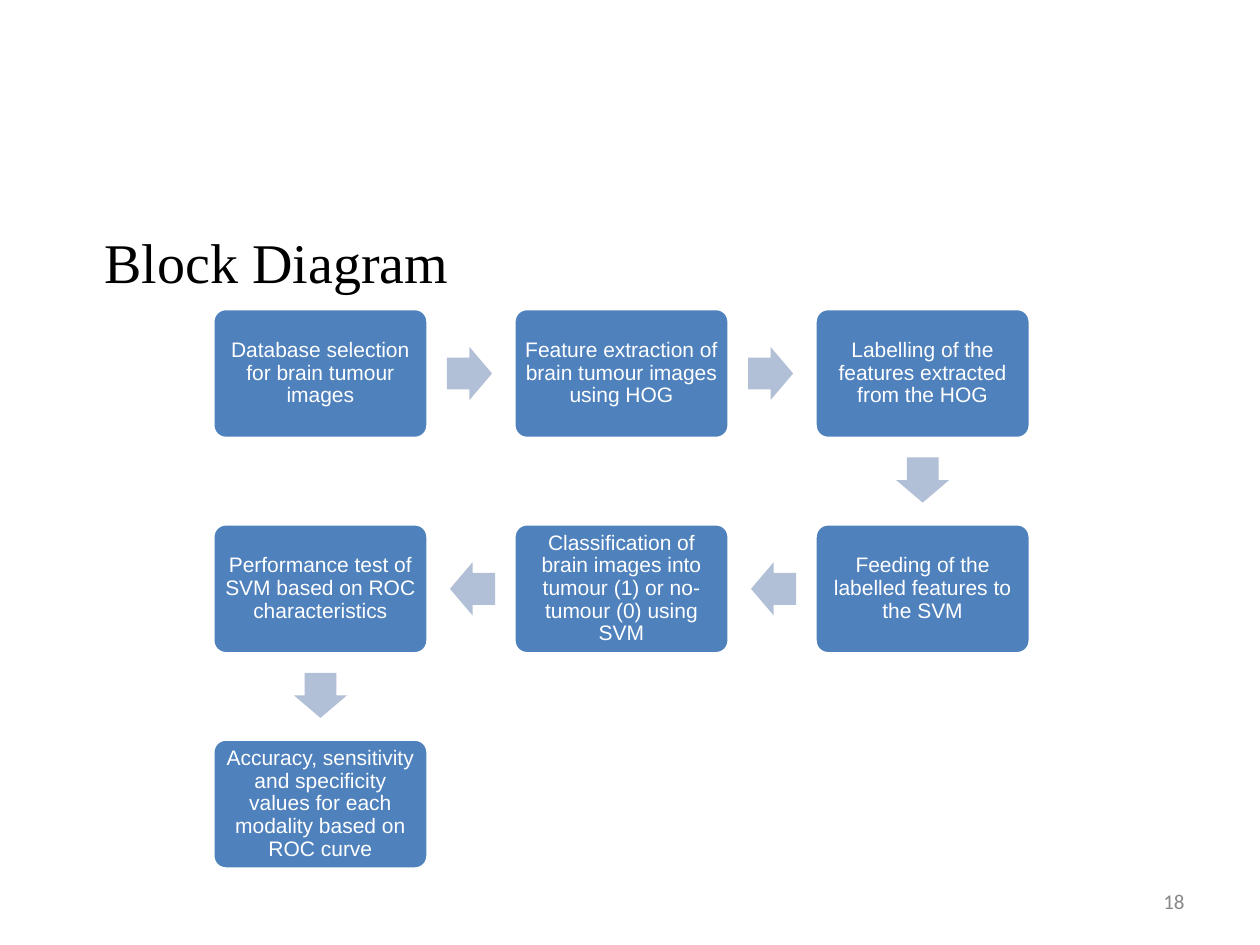
from itertools import pairwise

from pptx import Presentation
from pptx import util as u
from pptx.dml import color
from pptx.enum import shapes, text

COLUMNS = 3
LEFT, TOP = 4.29, 6.22
STEP_X, STEP_Y = 6.07, 4.34
BOX_WIDTH, BOX_HEIGHT = 4.34, 2.62
ARROW_LENGTH, ARROW_WIDTH = 0.91, 1.07
ARROW_POSITION = 0.495

STEPS = [
    "Database selection for brain tumour images",
    "Feature extraction of brain tumour images using HOG",
    "Labelling of the features extracted from the HOG",
    "Feeding of the labelled features to the SVM",
    "Classification of brain images into tumour (1) or no-tumour (0) using SVM",
    "Performance test of SVM based on ROC characteristics",
    "Accuracy, sensitivity and specificity values for each modality based on ROC curve",
]


def rgb(value):
    """Return the colour for a hex string."""
    return color.RGBColor.from_string(value)


def apply(target, values):
    """Set each attribute in the dict on the target."""
    for name, value in values.items():
        setattr(target, name, value)


def write(shape, content, font, size, colour, margins, anchor, **paragraph_format):
    """Write one formatted paragraph into a shape and return it."""
    horizontal, vertical = (u.Cm(margin) for margin in margins)
    apply(shape.text_frame, {
        "word_wrap": True, "vertical_anchor": anchor,
        "margin_left": horizontal, "margin_right": horizontal,
        "margin_top": vertical, "margin_bottom": vertical,
    })
    paragraph = shape.text_frame.paragraphs[0]
    apply(paragraph, paragraph_format)
    run = paragraph.add_run()
    run.text = content
    apply(run.font, {"name": font, "size": u.Pt(size)})
    run.font.color.rgb = rgb(colour)
    return paragraph


def add_text(slide, position, *args, **paragraph_format):
    """Add a text box and return its paragraph."""
    box = slide.shapes.add_textbox(*map(u.Cm, position))
    return write(box, *args, **paragraph_format)


def add_filled(slide, kind, centre, size, fill, adjustments):
    """Add a preset shape around a centre point."""
    corner = (middle - length / 2 for middle, length in zip(centre, size))
    shape = slide.shapes.add_shape(kind, *map(u.Cm, (*corner, *size)))
    shape.shadow.inherit = False
    shape.fill.solid()
    shape.fill.fore_color.rgb = rgb(fill)
    for index, value in enumerate(adjustments):
        shape.adjustments[index] = value
    return shape


def add_step(slide, centre, label):
    """Add one process box."""
    box = add_filled(slide, shapes.MSO_SHAPE.ROUNDED_RECTANGLE, centre,
                     (BOX_WIDTH, BOX_HEIGHT), "4F81BD", [0.1])
    box.line.color.rgb = rgb("FFFFFF")
    box.line.width = u.Pt(2)
    write(box, label, "Arial", 12, "FFFFFF", (0.13, 0.13), text.MSO_ANCHOR.MIDDLE,
          alignment=text.PP_ALIGN.CENTER, line_spacing=0.9)


def add_arrow(slide, start, end):
    """Add a block arrow between two box centres."""
    centre = [a + (b - a) * ARROW_POSITION for a, b in zip(start, end)]
    arrow = add_filled(slide, shapes.MSO_SHAPE.RIGHT_ARROW, centre,
                       (ARROW_LENGTH, ARROW_WIDTH), "B1C0D7", [0.6, 0.5])
    arrow.line.fill.background()
    if end[1] > start[1]:
        arrow.rotation = 90
    elif end[0] < start[0]:
        arrow.rotation = 180


def step_centre(index):
    """Return the centre of a box in the winding grid."""
    row, column = divmod(index, COLUMNS)
    if row % 2:
        column = COLUMNS - 1 - column
    return (LEFT + BOX_WIDTH / 2 + column * STEP_X,
            TOP + BOX_HEIGHT / 2 + row * STEP_Y)


def main():
    """Build the block diagram slide."""
    presentation = Presentation()
    apply(presentation, {"slide_width": u.Cm(25.4), "slide_height": u.Cm(19.05)})
    slide = presentation.slides.add_slide(presentation.slide_layouts[6])

    title = add_text(slide, (1.27, 4.45, 22.86, 2.29), "Block Diagram",
                     "Times New Roman", 32, "000000", (0.25, 0.13),
                     text.MSO_ANCHOR.TOP, space_before=u.Pt(6.4))
    properties = title._p.get_or_add_pPr()
    properties.set("marL", str(u.Cm(0.97)))
    properties.set("indent", str(u.Cm(-0.38)))
    add_text(slide, (18.21, 17.65, 5.92, 1.02), "18", "Calibri", 12, "888888",
             (0.25, 0.13), text.MSO_ANCHOR.MIDDLE, alignment=text.PP_ALIGN.RIGHT)

    centres = [step_centre(index) for index in range(len(STEPS))]
    for centre, label in zip(centres, STEPS):
        add_step(slide, centre, label)
    for start, end in pairwise(centres):
        add_arrow(slide, start, end)

    presentation.save("out.pptx")


if __name__ == "__main__":
    main()
